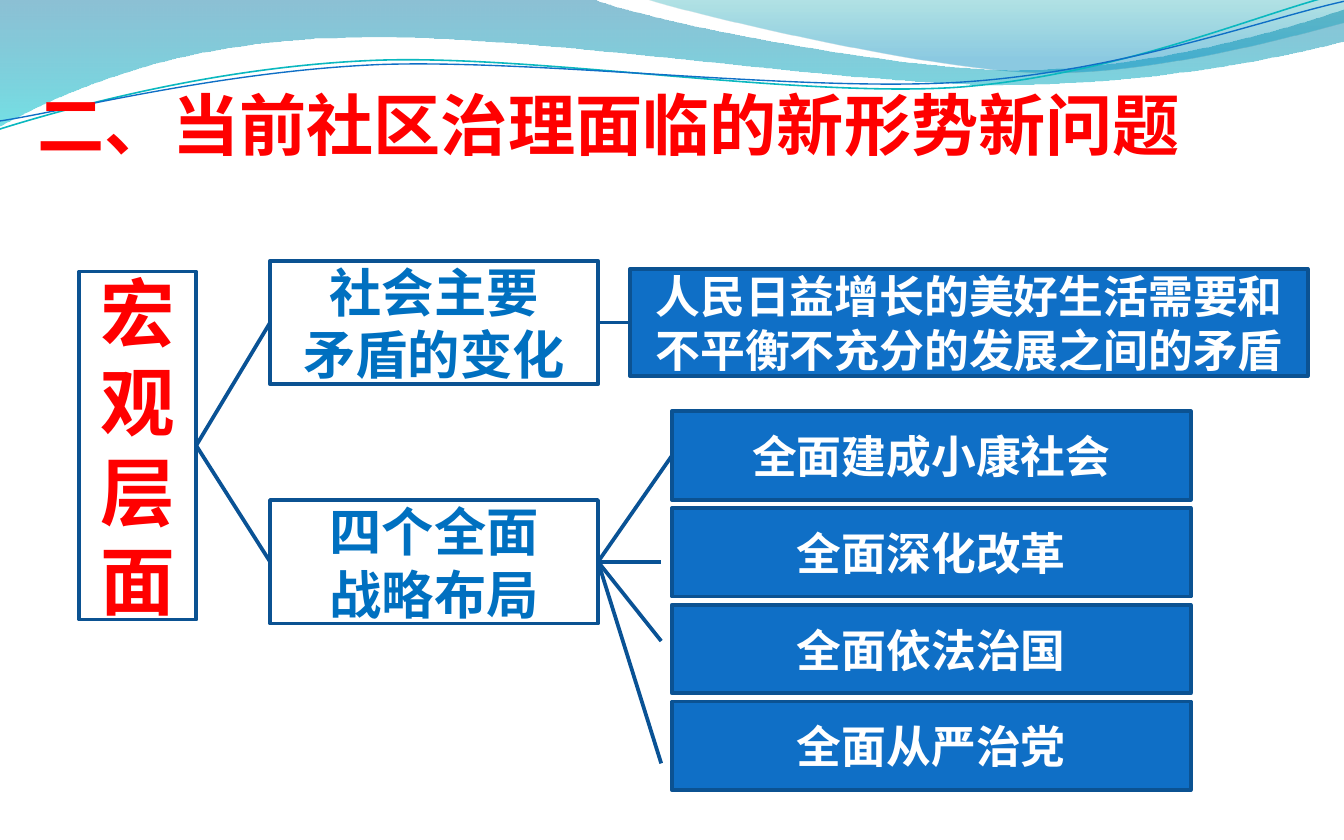
from lxml import etree
from pptx import Presentation
from pptx.dml.color import RGBColor
from pptx.enum.shapes import MSO_CONNECTOR, MSO_SHAPE
from pptx.enum.text import MSO_ANCHOR, PP_ALIGN
from pptx.oxml.ns import qn
from pptx.util import Inches, Pt

LEFT, CENTER = PP_ALIGN.LEFT, PP_ALIGN.CENTER
MIDDLE, BOTTOM = MSO_ANCHOR.MIDDLE, MSO_ANCHOR.BOTTOM
RECT, STRAIGHT = MSO_SHAPE.RECTANGLE, MSO_CONNECTOR.STRAIGHT
SIDE_L, SIDE_R = 1, 3

RED = RGBColor(0xFF, 0x00, 0x00)
WHITE = RGBColor(0xFF, 0xFF, 0xFF)
BLUE = RGBColor(0x0F, 0x6F, 0xC6)
SKY = RGBColor(0x00, 0x70, 0xC0)
EDGE = RGBColor(0x0B, 0x52, 0x92)
LINK = RGBColor(0x09, 0x52, 0x95)
TEAL = RGBColor(0x0A, 0xB8, 0xBF)
SANS, SERIF = "Noto Sans CJK SC", "Cambria"

TITLE = "二、当前社区治理面临的新形势新问题"
ROOT = ["宏", "观", "层", "面"]
TOPICS = [["社会主要", "矛盾的变化"], ["四个全面", "战略布局"]]
CHANGE = ["人民日益增长的美好生活需要和", "不平衡不充分的发展之间的矛盾"]
GOALS = ["全面建成小康社会", "全面深化改革", "全面依法治国", "全面从严治党"]
LOOSE_ENDS = [4.18, 4.77, 5.68]

# Each path is a list of points: two numbers for a line, six for a Bézier curve.
# A gradient stop is position, colour, opacity in percent.
WAVES = [
    ([(0, 0), (4.4, -0.01), (4.76, 0.14, 6.64, 0.52, 7.58, 0.52),
      (8.53, 0.52, 9.58, 0.21, 10, 0.07), (10.01, 0.3),
      (9.83, 0.36, 8.7, 0.63, 7.46, 0.63), (6.22, 0.63, 3.82, 0.23, 2.57, 0.28),
      (1.29, 0.3, 0.46, 0.69, -0.01, 0.94)],
     [(0, RGBColor(0x00, 0x74, 0xA1), 45), (1, RGBColor(0x00, 0xC6, 0xCF), 55)]),
    ([(4.79, -0.01), (5.09, 0.09, 6.82, 0.51, 7.69, 0.54),
      (8.56, 0.57, 9.61, 0.27, 10, 0.17), (10, 0)],
     [(0, RGBColor(0x00, 0xA1, 0xA9), 30), (0.8, RGBColor(0x00, 0x8B, 0xBF), 45)]),
]
STRANDS = [
    ([(0, 0.96), (0.48, 0.81, 1.58, 0.5, 2.77, 0.45),
      (3.95, 0.4, 5.92, 0.73, 7.12, 0.65), (8.33, 0.56, 9.39, 0.09, 9.98, -0.05)],
     TEAL, 0.85),
    ([(0, 0.9), (0.47, 0.83, 1.64, 0.53, 2.83, 0.48),
      (4.03, 0.44, 5.97, 0.69, 7.17, 0.61), (8.36, 0.53, 9.41, 0.14, 10, 0.01)],
     BLUE, 0.75),
]

prs = Presentation()
prs.slide_width, prs.slide_height = Inches(10), Inches(6.25)
slide = prs.slides.add_slide(prs.slide_layouts[6])
shapes = slide.shapes


def draw(path, close):
    """Outline the path's end points, then bend its curved segments."""
    ends = [(Inches(seg[-2]), Inches(seg[-1])) for seg in path]
    pen = shapes.build_freeform(*ends[0])
    pen.add_line_segments(ends[1:], close=close)
    form = pen.convert_to_shape()
    form.shadow.inherit = False
    sides = list(form._element.iter(qn("a:lnTo")))
    for side, seg in zip(sides, path[1:]):
        if len(seg) == 2:
            continue
        side.tag = qn("a:cubicBezTo")
        for i, (x, y) in enumerate([seg[:2], seg[2:4]]):
            pt = etree.Element(qn("a:pt"))
            pt.set("x", str(Inches(x) - form.left))
            pt.set("y", str(Inches(y) - form.top))
            side.insert(i, pt)
    return form


def shade(form, stops):
    """Fill from top to bottom with see-through colours."""
    form.fill.gradient()
    form.fill.gradient_angle = 270
    for stop, (pos, color, _) in zip(form.fill.gradient_stops, stops):
        stop.position, stop.color.rgb = pos, color
    grad = form._element.spPr.find(qn("a:gradFill"))
    for clr, (_, _, alpha) in zip(grad.iter(qn("a:srgbClr")), stops):
        etree.SubElement(clr, qn("a:alpha")).set("val", str(alpha * 1000))


def write(shape, lines, size, color, font=SANS, align=CENTER, anchor=MIDDLE):
    frame = shape.text_frame
    frame.word_wrap, frame.vertical_anchor = True, anchor
    for i, line in enumerate(lines):
        para = frame.paragraphs[0] if i == 0 else frame.add_paragraph()
        para.alignment = align
        run = para.add_run()
        run.text = line
        run.font.size, run.font.bold = Pt(size), True
        run.font.name, run.font.color.rgb = font, color
        east = etree.SubElement(run.font._element, qn("a:ea"))
        east.set("typeface", SANS)
    return frame


def box(x, y, w, h, lines, size, color, fill=WHITE, font=SANS):
    rect = shapes.add_shape(RECT, Inches(x), Inches(y), Inches(w), Inches(h))
    rect.shadow.inherit = False
    rect.fill.solid()
    rect.fill.fore_color.rgb = fill
    rect.line.color.rgb, rect.line.width = EDGE, Pt(2)
    write(rect, lines, size, color, font)
    return rect


def link(start, end=None, to=(0, 0)):
    """Join the right side of start to the left side of end, or to a point."""
    line = shapes.add_connector(STRAIGHT, 0, 0, Inches(to[0]), Inches(to[1]))
    line.begin_connect(start, SIDE_R)
    if end is not None:
        line.end_connect(end, SIDE_L)
    line.line.color.rgb, line.line.width = LINK, Pt(2)
    etree.SubElement(line._element.spPr, qn("a:effectLst"))


for path, stops in WAVES:
    wave = draw(path, True)
    shade(wave, stops)
    wave.line.fill.background()
for path, color, width in STRANDS:
    strand = draw(path, False)
    strand.fill.background()
    strand.line.color.rgb, strand.line.width = color, Pt(width)

title = shapes.add_textbox(Inches(0.28), Inches(0.62), Inches(9.92), Inches(0.6))
frame = write(title, [TITLE], 36, RED, align=LEFT, anchor=BOTTOM)
frame.margin_left = frame.margin_right = frame.margin_bottom = 0
frame.margin_top = Inches(0.05)

root = box(0.59, 2.02, 0.87, 2.59, ROOT, 40, RED)
topics = [box(2.01, 1.94 + i * 1.78, 2.44, 0.92, lines, 28, SKY)
          for i, lines in enumerate(TOPICS)]
change = box(4.69, 2, 5.04, 0.8, CHANGE, 24, WHITE, BLUE, SERIF)
goals = [box(5, 3.06 + i * 0.72, 3.86, 0.66, [goal], 24, WHITE, BLUE, SERIF)
         for i, goal in enumerate(GOALS)]

link(topics[0], change)
link(topics[1], goals[0])
for y in LOOSE_ENDS:
    link(topics[1], to=(4.92, y))
for topic in topics:
    link(root, topic)

prs.save("out.pptx")
